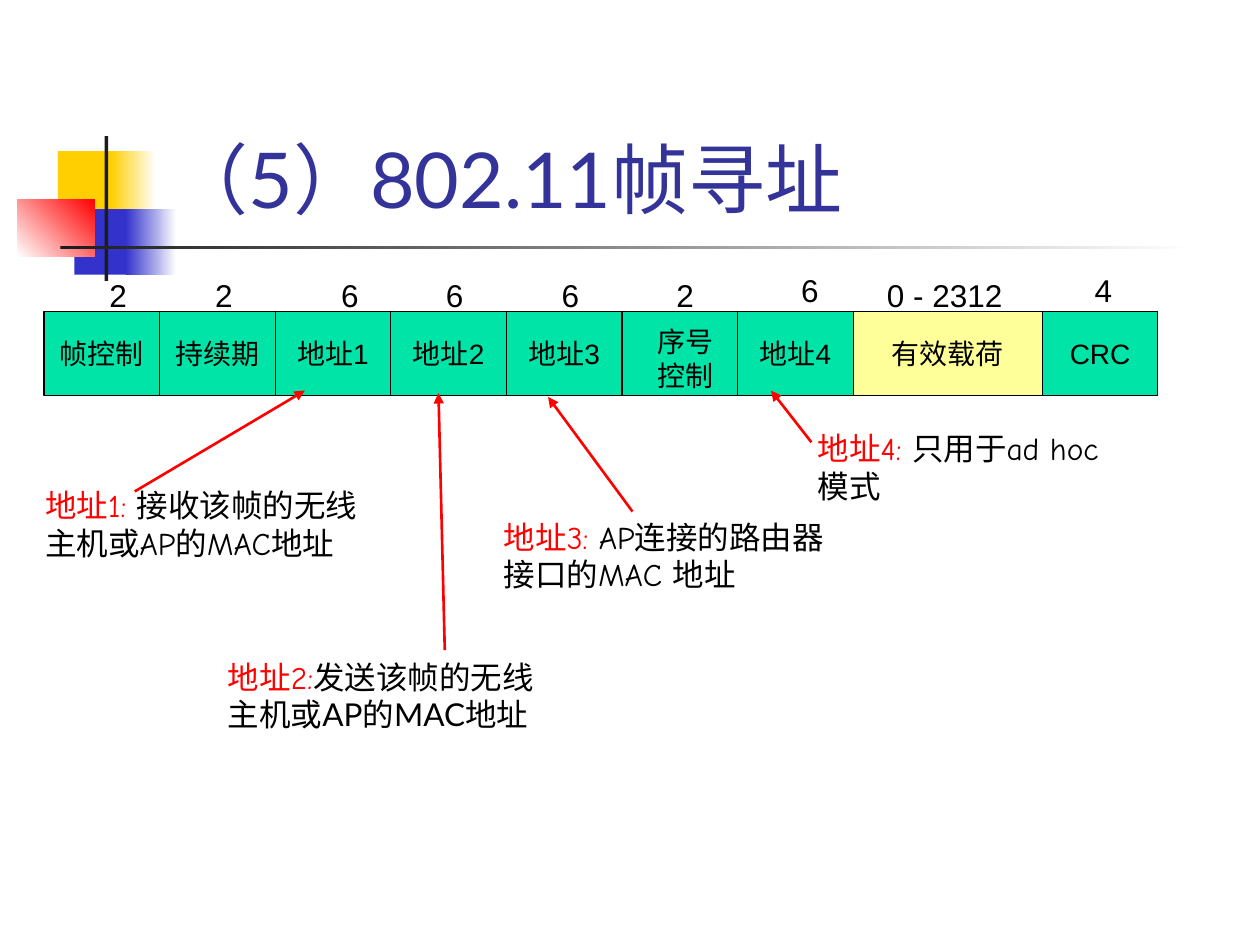
"""Build a slide on 802.11 frame addressing: a frame diagram with four address notes."""
from lxml.etree import SubElement
from pptx import Presentation
from pptx.dml.color import RGBColor
from pptx.enum.shapes import MSO_CONNECTOR, MSO_SHAPE
from pptx.enum.text import MSO_ANCHOR, MSO_AUTO_SIZE, PP_ALIGN
from pptx.oxml.ns import qn
from pptx.util import Inches, Pt

THEME = {
    "ink": "000000", "title": "333399", "accent": "FF0000",
    "header": "00E4A8", "payload": "FFFF99",
    "yellow": "FFCF01", "blue": "3333CC", "dark": "1C1C1C", "white": "FFFFFF",
    "title_font": "Lato", "frame_font": "Arial", "note_font": "Comic Neue",
    "title_size": 44, "field_size": 16, "body_size": 18,
    "border": 0.75, "arrow": 1.5,
}

TITLE = "（5）802.11帧寻址"
TITLE_BOX = (1.26, 0.23, 8.52, 1.6)

DECORATION = [
    ((0.46, 1.2, 0.48, 0.52), ("yellow",), 0),
    ((0.88, 1.2, 0.36, 0.52), ("yellow", "white"), 0),
    ((0.59, 1.66, 0.46, 0.52), ("blue",), 0),
    ((1, 1.66, 0.4, 0.52), ("blue", "white"), 0),
    ((0.14, 1.58, 0.61, 0.46), ("white", "accent"), 45),
    ((0.83, 1.08, 0.03, 1.15), ("dark",), 0),
    ((0.48, 1.95, 9, 0.03), ("dark", "white"), 0),
]

FRAME_LEFT, FRAME_RIGHT, FRAME_TOP, FRAME_HEIGHT = 0.35, 9.19, 2.47, 0.67
PAYLOAD, PAYLOAD_WIDTH = "有效载荷", 1.5
SIZE_WIDTH, PAYLOAD_SIZE_WIDTH, SIZE_HEIGHT = 0.34, 1.3, 0.4
FIELDS = [
    ("帧控制", "2", (0.77, 2.14)),
    ("持续期", "2", (1.61, 2.14)),
    ("地址1", "6", (2.61, 2.14)),
    ("地址2", "6", (3.44, 2.14)),
    ("地址3", "6", (4.36, 2.14)),
    ("", "2", (5.27, 2.14)),
    ("地址4", "6", (6.26, 2.1)),
    (PAYLOAD, "0 - 2312", (6.94, 2.14)),
    ("CRC", "4", (8.59, 2.1)),
]
SEQUENCE_LABEL = ["序号", "控制"]
SEQUENCE_BOX = (5.12, 2.53, 0.64, 0.64)

NOTES = [
    ("地址1: ", "接收该帧的无线", "主机或AP的MAC地址", "note_font",
     (0.26, 3.81, 2.95, 0.7), ((1.07, 3.9), (2.42, 3.1))),
    ("地址2:", "发送该帧的无线", "主机或AP的MAC地址", "title_font",
     (1.71, 5.17, 2.79, 0.7), ((3.53, 5.16), (3.48, 3.12))),
    ("地址3:", " AP连接的路由器", "接口的MAC 地址", "note_font",
     (3.9, 4.06, 3.34, 0.7), ((5.02, 4.06), (4.35, 3.15))),
    ("地址4: ", "只用于ad hoc", "模式", "note_font",
     (6.39, 3.36, 2.85, 0.7), ((6.44, 3.51), (6.12, 3.1))),
]


def color(name):
    return RGBColor.from_string(THEME[name])


def inches(values):
    return [Inches(value) for value in values]


def write(frame, paragraphs, size, align=PP_ALIGN.LEFT, wrap=False):
    """Fill a text frame with paragraphs of (text, font, colour) runs."""
    frame.word_wrap = wrap
    for index, runs in enumerate(paragraphs):
        paragraph = frame.add_paragraph() if index else frame.paragraphs[0]
        paragraph.alignment = align
        for text, font, ink in runs:
            run = paragraph.add_run()
            run.text = text
            run.font.name = THEME[font]
            run.font.size = Pt(THEME[size])
            run.font.color.rgb = color(ink)


def add_text(slide, box, *args, **options):
    frame = slide.shapes.add_textbox(*inches(box)).text_frame
    write(frame, *args, **options)


def add_rectangle(slide, box, fills, angle=0):
    rectangle = slide.shapes.add_shape(MSO_SHAPE.RECTANGLE, *inches(box))
    rectangle.shadow.inherit = False
    rectangle.line.fill.background()
    if len(fills) == 1:
        rectangle.fill.solid()
        rectangle.fill.fore_color.rgb = color(fills[0])
    else:
        rectangle.fill.gradient()
        rectangle.fill.gradient_angle = angle
        for stop, name in zip(rectangle.fill.gradient_stops, fills):
            stop.color.rgb = color(name)
    return rectangle


def add_arrow(slide, start, end):
    arrow = slide.shapes.add_connector(MSO_CONNECTOR.STRAIGHT, *inches(start + end))
    arrow.line.color.rgb = color("accent")
    arrow.line.width = Pt(THEME["arrow"])
    SubElement(arrow.line._get_or_add_ln(), qn("a:tailEnd"), type="triangle")
    SubElement(arrow._element.spPr, qn("a:effectLst"))


def add_title(slide):
    title = slide.shapes.title
    title.left, title.top, title.width, title.height = inches(TITLE_BOX)
    frame = title.text_frame
    frame.auto_size = MSO_AUTO_SIZE.NONE
    frame.vertical_anchor = MSO_ANCHOR.BOTTOM
    write(frame, [[(TITLE, "title_font", "title")]], "title_size", wrap=True)


def add_frame(slide):
    field_width = (FRAME_RIGHT - FRAME_LEFT - PAYLOAD_WIDTH) / (len(FIELDS) - 1)
    left = FRAME_LEFT
    for label, size, position in FIELDS:
        is_payload = label == PAYLOAD
        width = PAYLOAD_WIDTH if is_payload else field_width
        size_width = PAYLOAD_SIZE_WIDTH if is_payload else SIZE_WIDTH
        field = add_rectangle(slide, (left, FRAME_TOP, width, FRAME_HEIGHT),
                              ("payload" if is_payload else "header",))
        field.line.color.rgb = color("ink")
        field.line.width = Pt(THEME["border"])
        if label:
            field.text_frame.vertical_anchor = MSO_ANCHOR.MIDDLE
            write(field.text_frame, [[(label, "frame_font", "ink")]],
                  "field_size", PP_ALIGN.CENTER)
        left += width
        add_text(slide, position + (size_width, SIZE_HEIGHT),
                 [[(size, "frame_font", "ink")]], "body_size")
    add_text(slide, SEQUENCE_BOX,
             [[(line, "frame_font", "ink")] for line in SEQUENCE_LABEL],
             "field_size", PP_ALIGN.CENTER)


def main():
    presentation = Presentation()
    presentation.slide_width, presentation.slide_height = inches((10, 7.5))
    slide = presentation.slides.add_slide(presentation.slide_layouts[5])
    for box, fills, angle in DECORATION:
        add_rectangle(slide, box, fills, angle)
    add_frame(slide)
    add_title(slide)
    for name, first, second, font, box, (start, end) in NOTES:
        add_text(slide, box,
                 [[(name, "note_font", "accent"), (first, font, "ink")],
                  [(second, font, "ink")]], "body_size", wrap=True)
        add_arrow(slide, start, end)
    presentation.save("out.pptx")


if __name__ == "__main__":
    main()
